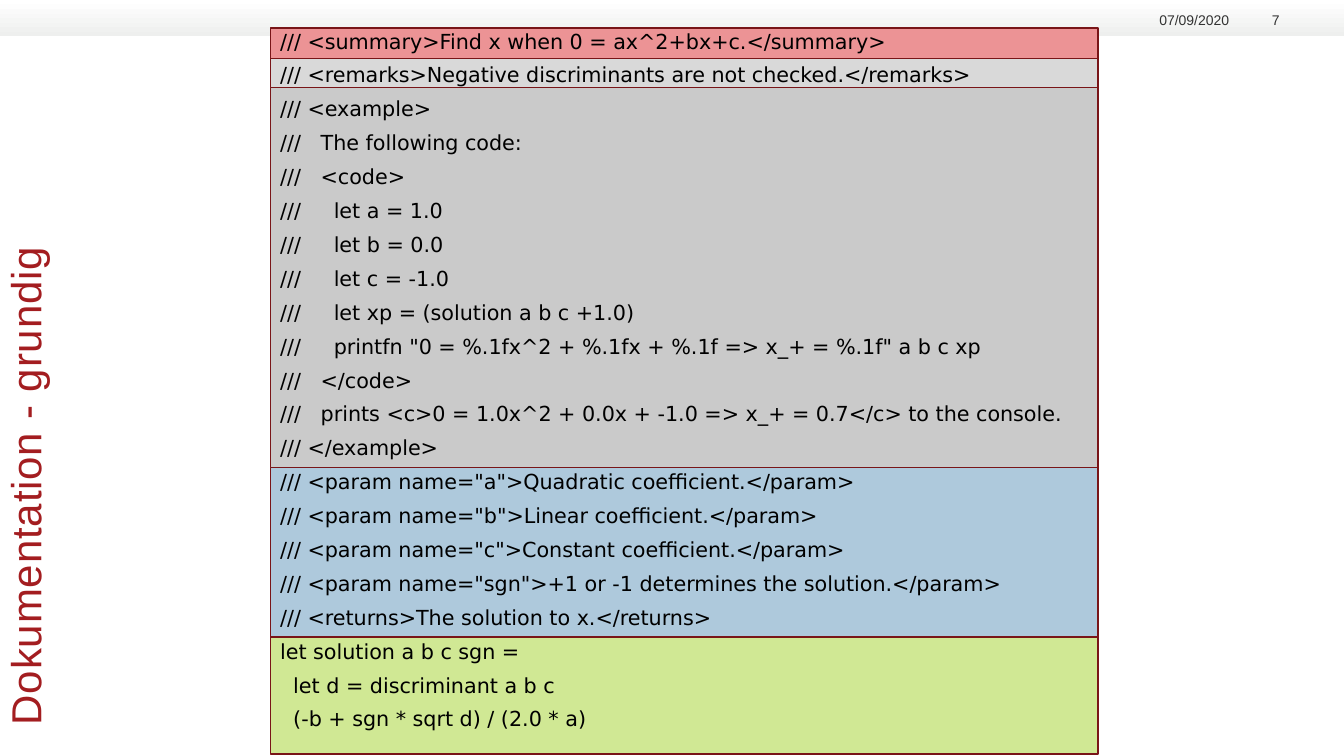
from dataclasses import dataclass

import pptx
import pptx.dml.color
import pptx.enum.shapes
import pptx.enum.text
import pptx.util
from pptx.util import Inches

ANCHOR = pptx.enum.text.MSO_ANCHOR
ALIGN = pptx.enum.text.PP_ALIGN
LEFT, WIDTH = 2.68, 8.21


@dataclass
class Band:
    top: float
    height: float
    fill: str


@dataclass
class HeaderField:
    text: str
    left: float
    width: float


BANDS = [
    Band(0.28, 6.04, "EC9395"),
    Band(4.64, 1.69, "AEC9DC"),
    Band(0.87, 3.77, "CACACA"),
    Band(0.58, 0.29, "D9D9D9"),
    Band(6.32, 1.16, "D0E894"),
]
HEADER_FIELDS = [HeaderField("07/09/2020", 11.3, 0.89), HeaderField("7", 12.27, 0.42)]

CODE = """\
/// <summary>Find x when 0 = ax^2+bx+c.</summary>
/// <remarks>Negative discriminants are not checked.</remarks>
/// <example>
///   The following code:
///   <code>
///     let a = 1.0
///     let b = 0.0
///     let c = -1.0
///     let xp = (solution a b c +1.0)
///     printfn "0 = %.1fx^2 + %.1fx + %.1f => x_+ = %.1f" a b c xp
///   </code>
///   prints <c>0 = 1.0x^2 + 0.0x + -1.0 => x_+ = 0.7</c> to the console.
/// </example>
/// <param name="a">Quadratic coefficient.</param>
/// <param name="b">Linear coefficient.</param>
/// <param name="c">Constant coefficient.</param>
/// <param name="sgn">+1 or -1 determines the solution.</param>
/// <returns>The solution to x.</returns>
let solution a b c sgn =
  let d = discriminant a b c
  (-b + sgn * sqrt d) / (2.0 * a)"""


def rgb(value: str) -> pptx.dml.color.RGBColor:
    return pptx.dml.color.RGBColor.from_string(value)


def add_rect(s, left: float, top: float, width: float, height: float):
    sp = s.shapes.add_shape(pptx.enum.shapes.MSO_SHAPE.RECTANGLE, Inches(left),
                            Inches(top), Inches(width), Inches(height))
    sp.shadow.inherit = False
    return sp


def add_run(p, text: str, size: float, font: str, color: str):
    r = p.add_run()
    r.text = text
    r.font.size = pptx.util.Pt(size)
    r.font.name = font
    r.font.color.rgb = rgb(color)
    return r


def clear_insets(tf) -> None:
    tf.margin_left = tf.margin_top = tf.margin_right = tf.margin_bottom = 0


def add_header(s) -> None:
    sp = add_rect(s, 0, 0, 13.33, 0.36)
    sp.line.fill.background()
    sp.fill.gradient()
    # Counter-clockwise angle: 270 runs from top to bottom
    sp.fill.gradient_angle = 270
    for stop, color in zip(sp.fill.gradient_stops, ("FFFFFF", "EEEFEE")):
        stop.color.rgb = rgb(color)
    for field in HEADER_FIELDS:
        tf = s.shapes.add_textbox(Inches(field.left), Inches(0.09),
                                  Inches(field.width), Inches(0.19)).text_frame
        clear_insets(tf)
        tf.word_wrap = True
        tf.vertical_anchor = ANCHOR.BOTTOM
        p = tf.paragraphs[0]
        p.alignment = ALIGN.RIGHT
        add_run(p, field.text, 10, "Arial", "333333")


def add_band(s, band: Band) -> None:
    sp = add_rect(s, LEFT, band.top, WIDTH, band.height)
    sp.fill.solid()
    sp.fill.fore_color.rgb = rgb(band.fill)
    sp.line.color.rgb = rgb("791518")
    sp.line.width = pptx.util.Pt(1)


def add_code(s) -> None:
    tf = s.shapes.add_textbox(Inches(LEFT), Inches(0.28), Inches(9.65), Inches(7.22)).text_frame
    tf.word_wrap = True
    for i, line in enumerate(CODE.splitlines()):
        p = tf.add_paragraph() if i else tf.paragraphs[0]
        p.line_spacing = 0.8
        p.space_before = pptx.util.Pt(10 if i else 0)
        add_run(p, line, 14.8, "DejaVu Sans", "000000")


def set_title(s) -> None:
    sp = s.shapes.title
    sp.left, sp.top, sp.width, sp.height = map(Inches, (-5.03, 0.72, 11.5, 1.45))
    sp.rotation = 270
    tf = sp.text_frame
    clear_insets(tf)
    tf.auto_size = pptx.enum.text.MSO_AUTO_SIZE.NONE
    tf.vertical_anchor = ANCHOR.TOP
    p = tf.paragraphs[0]
    p.alignment = ALIGN.LEFT
    r = add_run(p, "Dokumentation - grundig", 30, "Arial", "A31D20")
    r.font._element.set("spc", "60")


def main() -> None:
    prs = pptx.Presentation()
    prs.slide_width, prs.slide_height = Inches(13.33), Inches(7.5)
    s = prs.slides.add_slide(prs.slide_layouts[5])
    add_header(s)
    for band in BANDS:
        add_band(s, band)
    add_code(s)
    set_title(s)
    prs.save("out.pptx")


if __name__ == "__main__":
    main()
